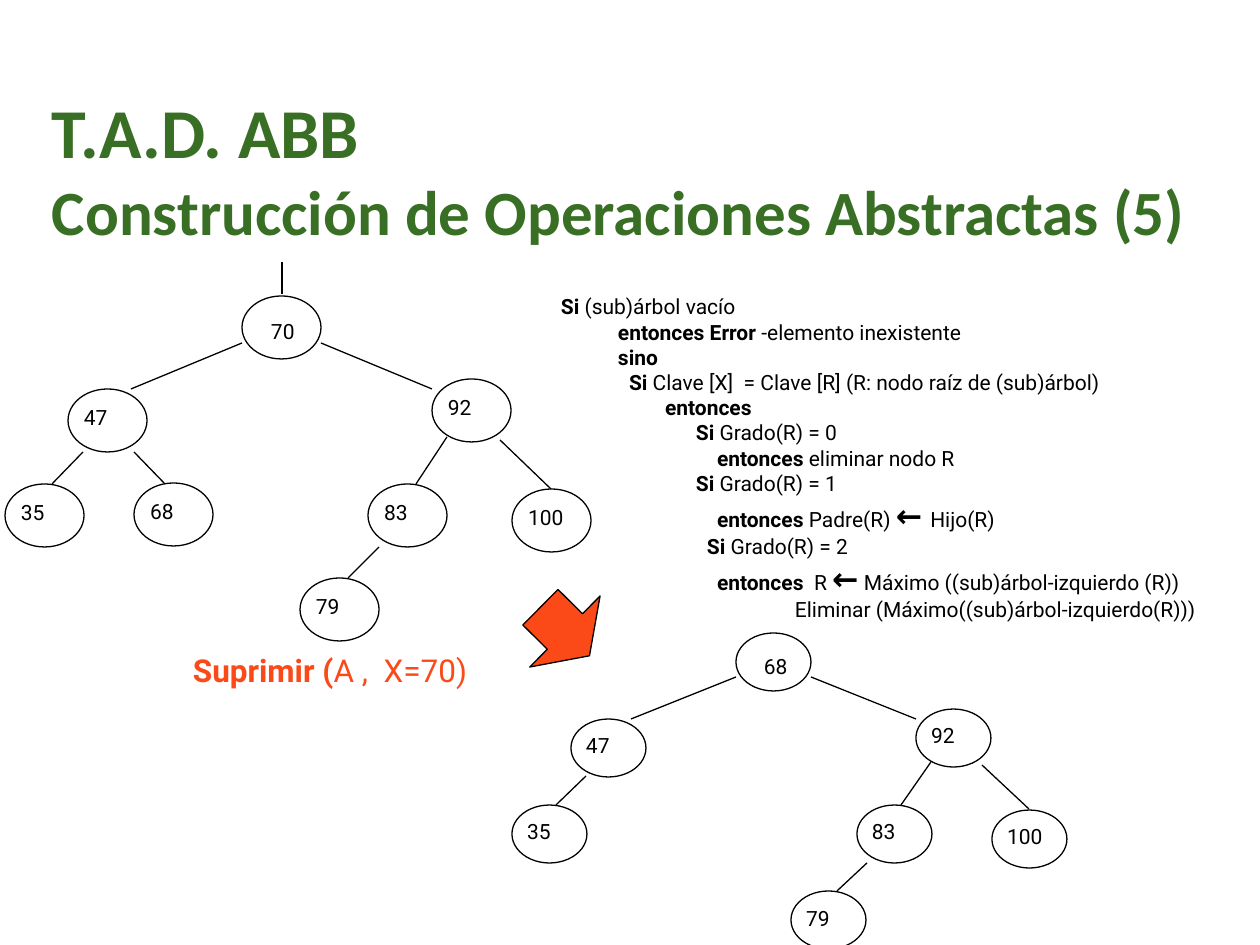
from dataclasses import dataclass

from lxml.etree import SubElement
from pptx import Presentation
from pptx.dml.color import RGBColor
from pptx.enum.shapes import MSO_CONNECTOR as Connector, MSO_SHAPE as Preset
from pptx.oxml.ns import qn
from pptx.shapes.shapetree import GroupShapes, SlideShapes
from pptx.text.text import TextFrame, _Paragraph as Paragraph
from pptx.util import Emu, Pt

EMU_PER_PX = 914400 / 126


@dataclass(frozen=True)
class Theme:
    heading_font: str = "Calibri"
    body_font: str = "Roboto"
    green: RGBColor = RGBColor(0x38, 0x6F, 0x24)
    orange: RGBColor = RGBColor(0xFB, 0x4A, 0x18)
    black: RGBColor = RGBColor(0, 0, 0)
    title: Pt = Pt(40)
    subtitle: Pt = Pt(36)
    call: Pt = Pt(18)
    body: Pt = Pt(12)
    stroke: Pt = Pt(0.75)


@dataclass(frozen=True)
class Node:
    key: str
    left: int
    top: int


@dataclass(frozen=True)
class Edge:
    x1: int
    y1: int
    x2: int
    y2: int


@dataclass(frozen=True)
class Tree:
    node_width: int
    node_height: int
    label_dx: int
    label_dy: int
    nodes: tuple[Node, ...]
    edges: tuple[Edge, ...]


@dataclass(frozen=True)
class CodeLine:
    indent: int
    keyword: str
    rest: str = ""
    arrow: str = ""
    tail: str = ""


THEME = Theme()

TREE_BEFORE = Tree(
    79, 63, 16, 16,
    (Node("70", 242, 296), Node("47", 68, 389), Node("35", 5, 484), Node("92", 432, 379),
     Node("68", 134, 483), Node("79", 300, 578), Node("83", 368, 484), Node("100", 512, 489)),
    (Edge(131, 389, 242, 343), Edge(321, 343, 432, 389), Edge(83, 452, 52, 484),
     Edge(134, 452, 165, 484), Edge(416, 484, 447, 437), Edge(379, 547, 348, 578),
     Edge(500, 440, 551, 489)),
)
TREE_AFTER = Tree(
    75, 58, 15, 14,
    (Node("68", 736, 633), Node("47", 571, 719), Node("35", 512, 805), Node("92", 916, 709),
     Node("79", 791, 891), Node("83", 857, 805), Node("100", 992, 810)),
    (Edge(631, 719, 736, 677), Edge(811, 677, 916, 719), Edge(586, 776, 556, 805),
     Edge(901, 805, 931, 762), Edge(867, 863, 837, 891), Edge(982, 765, 1029, 809)),
)
ALGORITHM = (
    CodeLine(0, "Si", " (sub)árbol vacío"),
    CodeLine(57, "entonces Error", " -elemento inexistente"),
    CodeLine(57, "sino"),
    CodeLine(68, "Si", " Clave [X]  = Clave [R] (R: nodo raíz de (sub)árbol)"),
    CodeLine(104, "entonces"),
    CodeLine(135, "Si", " Grado(R) = 0"),
    CodeLine(156, "entonces", " eliminar nodo R"),
    CodeLine(135, "Si", " Grado(R) = 1"),
    CodeLine(156, "entonces", " Padre(R) ", "← ", "Hijo(R)"),
    CodeLine(146, "Si", " Grado(R) = 2"),
    CodeLine(156, "entonces", "  R ", "←", " Máximo ((sub)árbol-izquierdo (R))"),
    CodeLine(234, "", "Eliminar (Máximo((sub)árbol-izquierdo(R)))"),
)


def px(length: int) -> Emu:
    return Emu(round(length * EMU_PER_PX))


def add_text_area(shapes: SlideShapes | GroupShapes, left: int, top: int, width: int,
                  height: int, inset_x: int = 0, inset_y: int = 0) -> TextFrame:
    area = shapes.add_textbox(px(left), px(top), px(width), px(height)).text_frame
    area.word_wrap = True
    area.margin_left = area.margin_right = px(inset_x)
    area.margin_top = area.margin_bottom = px(inset_y)
    return area


def style(paragraph: Paragraph, font: str, color: RGBColor, size: Pt | None = None) -> None:
    paragraph.font.name = font
    paragraph.font.color.rgb = color
    if size is not None:
        paragraph.font.size = size


def add_run(paragraph: Paragraph, words: str, bold: bool | None = None,
            size: Pt | None = None) -> None:
    if words:
        run = paragraph.add_run()
        run.text = words
        run.font.bold = bold
        run.font.size = size


def draw_edge(shapes: SlideShapes | GroupShapes, edge: Edge) -> None:
    branch = shapes.add_connector(
        Connector.STRAIGHT, px(edge.x1), px(edge.y1), px(edge.x2), px(edge.y2))
    branch.line.color.rgb = THEME.black
    branch.line.width = THEME.stroke
    SubElement(branch._element.spPr, qn("a:effectLst"))


def draw_outlined(shapes: SlideShapes | GroupShapes, preset: Preset, left: int, top: int,
                  width: int, height: int, fill: RGBColor | None = None,
                  rotation: float = 0) -> None:
    figure = shapes.add_shape(preset, px(left), px(top), px(width), px(height))
    figure.shadow.inherit = False
    figure.rotation = rotation
    figure.line.color.rgb = THEME.black
    figure.line.width = THEME.stroke
    if fill is None:
        figure.fill.background()
    else:
        figure.fill.solid()
        figure.fill.fore_color.rgb = fill


def draw_tree(slide_shapes: SlideShapes, tree: Tree) -> None:
    shapes = slide_shapes.add_group_shape().shapes
    root = tree.nodes[0]
    for node in tree.nodes:
        draw_outlined(shapes, Preset.OVAL, node.left, node.top, tree.node_width, tree.node_height)
        inset_x, inset_y, extra = (13, 6, 10) if node is root else (0, 0, 0)
        label = add_text_area(
            shapes, node.left + tree.label_dx, node.top + tree.label_dy,
            tree.node_width - 2 * tree.label_dx + extra,
            tree.node_height - 2 * tree.label_dy, inset_x, inset_y).paragraphs[0]
        style(label, THEME.body_font, THEME.black, THEME.body)
        add_run(label, node.key)
    for edge in tree.edges:
        draw_edge(shapes, edge)


def draw_title(shapes: SlideShapes) -> None:
    heading = add_text_area(shapes, 52, 89, 1174, 161).paragraphs[0]
    style(heading, THEME.heading_font, THEME.green)
    heading.font.bold = True
    add_run(heading, "T.A.D. ABB", size=THEME.title)
    heading.add_line_break()
    add_run(heading, "Construcción de Operaciones Abstractas (5)", size=THEME.subtitle)


def draw_call(shapes: SlideShapes) -> None:
    call = add_text_area(shapes, 193, 651, 328, 38).paragraphs[0]
    style(call, THEME.body_font, THEME.orange, THEME.call)
    add_run(call, "Suprimir (", True)
    add_run(call, "A ,  X=70)", False)


def draw_algorithm(shapes: SlideShapes) -> None:
    listing = add_text_area(shapes, 561, 294, 699, 328)
    for number, line in enumerate(ALGORITHM):
        step = listing.add_paragraph() if number else listing.paragraphs[0]
        step._p.get_or_add_pPr().set("marL", str(px(line.indent)))
        style(step, THEME.body_font, THEME.black, THEME.body)
        add_run(step, line.keyword, True)
        add_run(step, line.rest, False)
        add_run(step, line.arrow, True, THEME.call)
        add_run(step, line.tail, False)


def main() -> None:
    """Build the slide on deleting a key from a binary search tree."""
    deck = Presentation()
    deck.slide_width, deck.slide_height = px(1260), px(945)
    shapes = deck.slides.add_slide(deck.slide_layouts[6]).shapes
    draw_title(shapes)
    draw_call(shapes)
    draw_edge(shapes, Edge(282, 294, 282, 262))
    draw_tree(shapes, TREE_BEFORE)
    draw_outlined(shapes, Preset.DOWN_ARROW, 515, 597, 100, 69, THEME.orange, 314.7)
    draw_tree(shapes, TREE_AFTER)
    draw_algorithm(shapes)
    deck.save("out.pptx")


if __name__ == "__main__":
    main()
